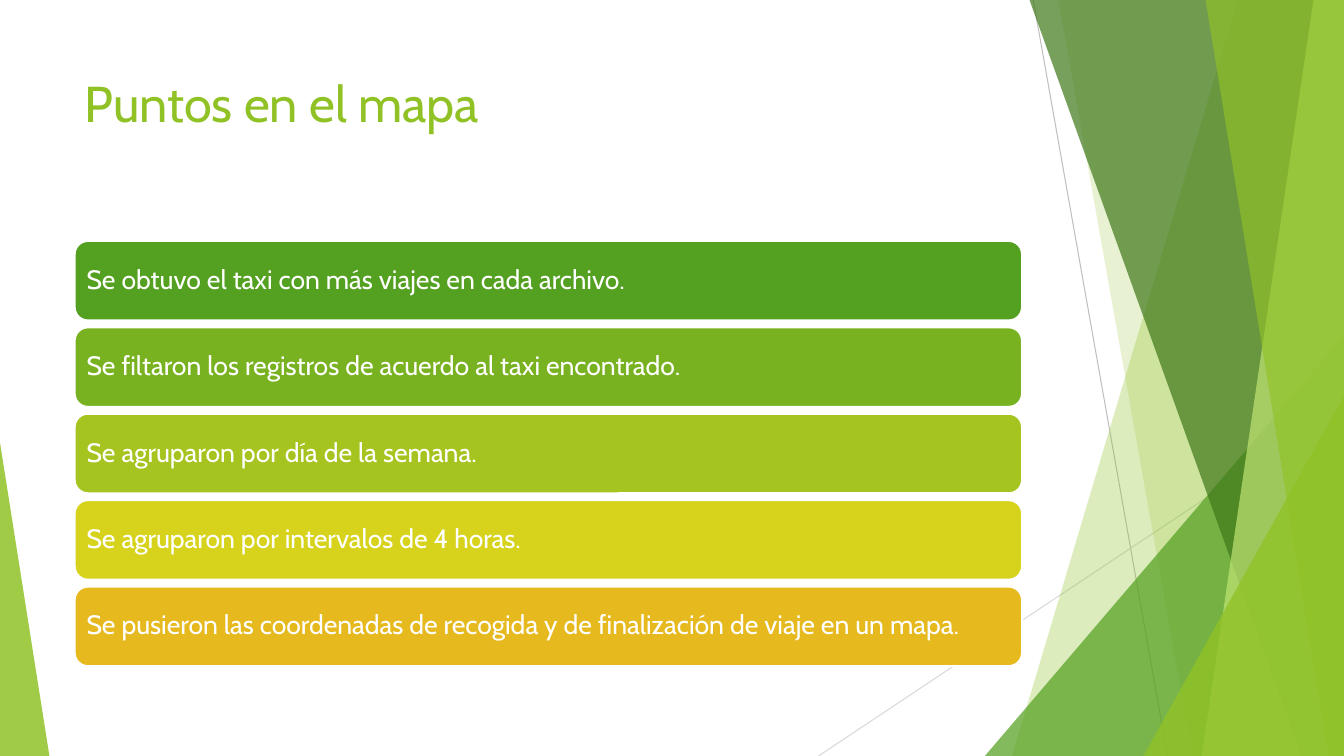
import pptx
import pptx.dml.color
import pptx.enum.shapes
import pptx.enum.text
import pptx.oxml
import pptx.oxml.ns
import pptx.util

RGBColor = pptx.dml.color.RGBColor
Shapes = pptx.enum.shapes.MSO_SHAPE
Anchor = pptx.enum.text.MSO_ANCHOR

WHITE = RGBColor(0xFF, 0xFF, 0xFF)
LIME = RGBColor(0x90, 0xC2, 0x26)
GREEN = RGBColor(0x54, 0xA0, 0x21)
FOREST = RGBColor(0x3F, 0x78, 0x19)
PALE = RGBColor(0xC0, 0xE4, 0x74)
LEAF = RGBColor(0x79, 0xB2, 0x20)
OLIVE = RGBColor(0xA5, 0xC4, 0x1F)
YELLOW = RGBColor(0xD7, 0xD3, 0x1D)
AMBER = RGBColor(0xE6, 0xB9, 0x1E)
GRAY = RGBColor(0xBF, 0xBF, 0xBF)
LIGHT_GRAY = RGBColor(0xD9, 0xD9, 0xD9)

LEFT, WIDTH = 5.55, 70.5
STEP_TOP, STEP_HEIGHT, STEP_PITCH = 31.87, 10.53, 11.43

STEPS = [
    ("Se obtuvo el taxi con más viajes en cada archivo.", GREEN),
    ("Se filtaron los registros de acuerdo al taxi encontrado.", LEAF),
    ("Se agruparon por día de la semana.", OLIVE),
    ("Se agruparon por intervalos de 4 horas.", YELLOW),
    ("Se pusieron las coordenadas de recogida y de finalización de viaje en un mapa.", AMBER),
]


def write(frame, text, size, color, font="Cabin", anchor=Anchor.TOP, inset=0.1, spacing=1.0):
    frame.word_wrap = True
    frame.auto_size = pptx.enum.text.MSO_AUTO_SIZE.NONE
    frame.vertical_anchor = anchor
    frame.margin_left = frame.margin_right = pptx.util.Inches(inset)
    para = frame.paragraphs[0]
    para.alignment = pptx.enum.text.PP_ALIGN.LEFT
    para.line_spacing = spacing
    span = para.add_run()
    span.text = text
    span.font.name = font
    span.font.size = pptx.util.Pt(size)
    span.font.color.rgb = color


def paint(shape, color, opacity=100):
    shape.shadow.inherit = False
    shape.fill.solid()
    shape.fill.fore_color.rgb = color
    shape.line.fill.background()
    if opacity < 100:
        tone = shape.fill._xPr.find(".//" + pptx.oxml.ns.qn("a:srgbClr"))
        alpha = pptx.oxml.parse_xml(f'<a:alpha {pptx.oxml.ns.nsdecls("a")} val="{opacity * 1000}"/>')
        tone.append(alpha)


class FacetPage:
    """Draws a faceted page, with every length a percentage of the slide's size."""

    def __init__(self, deck):
        self.width, self.height = deck.slide_width, deck.slide_height
        self.page = deck.slides.add_slide(deck.slide_layouts[5])
        self.shapes = self.page.shapes

    def point(self, x, y):
        return round(self.width * x / 100), round(self.height * y / 100)

    def line(self, start, end, color):
        kind = pptx.enum.shapes.MSO_CONNECTOR.STRAIGHT
        line = self.shapes.add_connector(kind, *self.point(*start), *self.point(*end))
        line.line.color.rgb = color
        line.line.width = pptx.util.Pt(0.75)
        effects = pptx.oxml.parse_xml(f'<a:effectLst {pptx.oxml.ns.nsdecls("a")}/>')
        line._element.spPr.append(effects)

    def facet(self, top_x, bottom_x, color, opacity):
        corners = [self.point(*corner) for corner in ((100, 0), (100, 100), (bottom_x, 100))]
        builder = self.shapes.build_freeform(*self.point(top_x, 0))
        builder.add_line_segments(corners, close=True)
        paint(builder.convert_to_shape(), color, opacity)

    def triangle(self, left, right, top, apex, color, opacity):
        box = self.shapes.add_shape(
            Shapes.ISOSCELES_TRIANGLE, *self.point(left, top), *self.point(right - left, 100 - top))
        box.adjustments[0] = apex
        paint(box, color, opacity)

    def title(self, text):
        box = self.shapes.title
        box.left, box.top = self.point(LEFT, 8.93)
        box.width, box.height = self.point(WIDTH, 19.2)
        write(box.text_frame, text, size=36, color=LIME)

    def step(self, row, text, color):
        top = STEP_TOP + row * STEP_PITCH
        box = self.shapes.add_shape(
            Shapes.ROUNDED_RECTANGLE, *self.point(LEFT, top), *self.point(WIDTH, STEP_HEIGHT))
        paint(box, color)
        box.line.color.rgb = WHITE
        box.line.width = pptx.util.Pt(1.5)
        write(box.text_frame, text, size=19, color=WHITE, anchor=Anchor.MIDDLE, inset=0.08, spacing=0.9)


def main():
    deck = pptx.Presentation()
    deck.slide_width = pptx.util.Inches(13.333)
    deck.slide_height = pptx.util.Inches(7.5)
    page = FacetPage(deck)
    page.line((76.88, 0), (86.87, 100), GRAY)
    page.line((100, 53.73), (60.9, 100), LIGHT_GRAY)
    page.facet(92.1, 75.3, LIME, 30)
    page.facet(78.75, 88.73, LIME, 20)
    page.triangle(73.28, 100, 44.4, 1, GREEN, 72)
    page.facet(76.6, 96.83, FOREST, 70)
    page.facet(97.73, 89.42, PALE, 70)
    page.facet(89.7, 98.87, LIME, 65)
    page.triangle(85.07, 100, 52.4, 1, LIME, 80)
    page.triangle(0, 3.68, 58.53, 0, LIME, 85)
    page.title("Puntos en el mapa")
    for row, (text, color) in enumerate(STEPS):
        page.step(row, text, color)
    deck.save("out.pptx")


if __name__ == "__main__":
    main()
